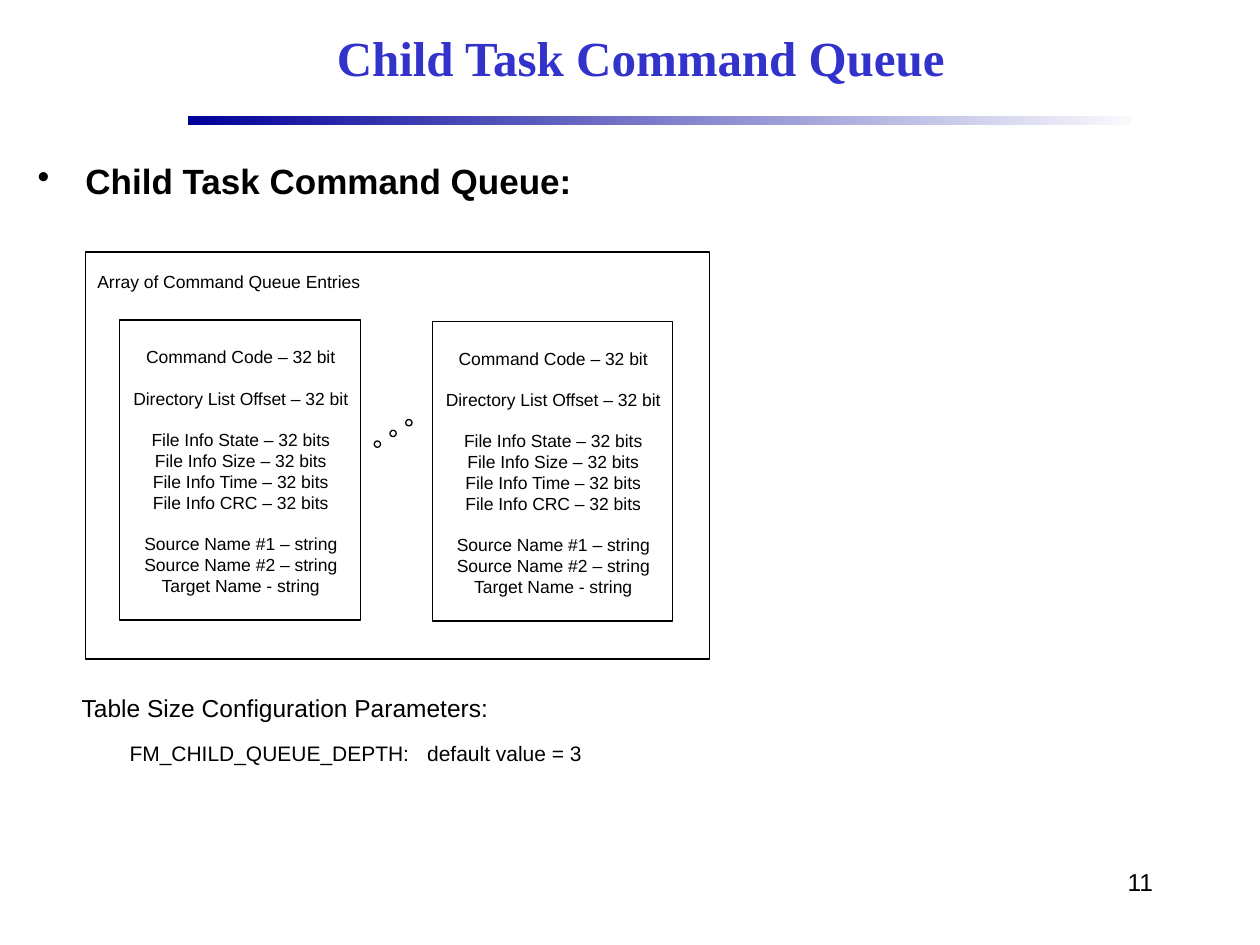
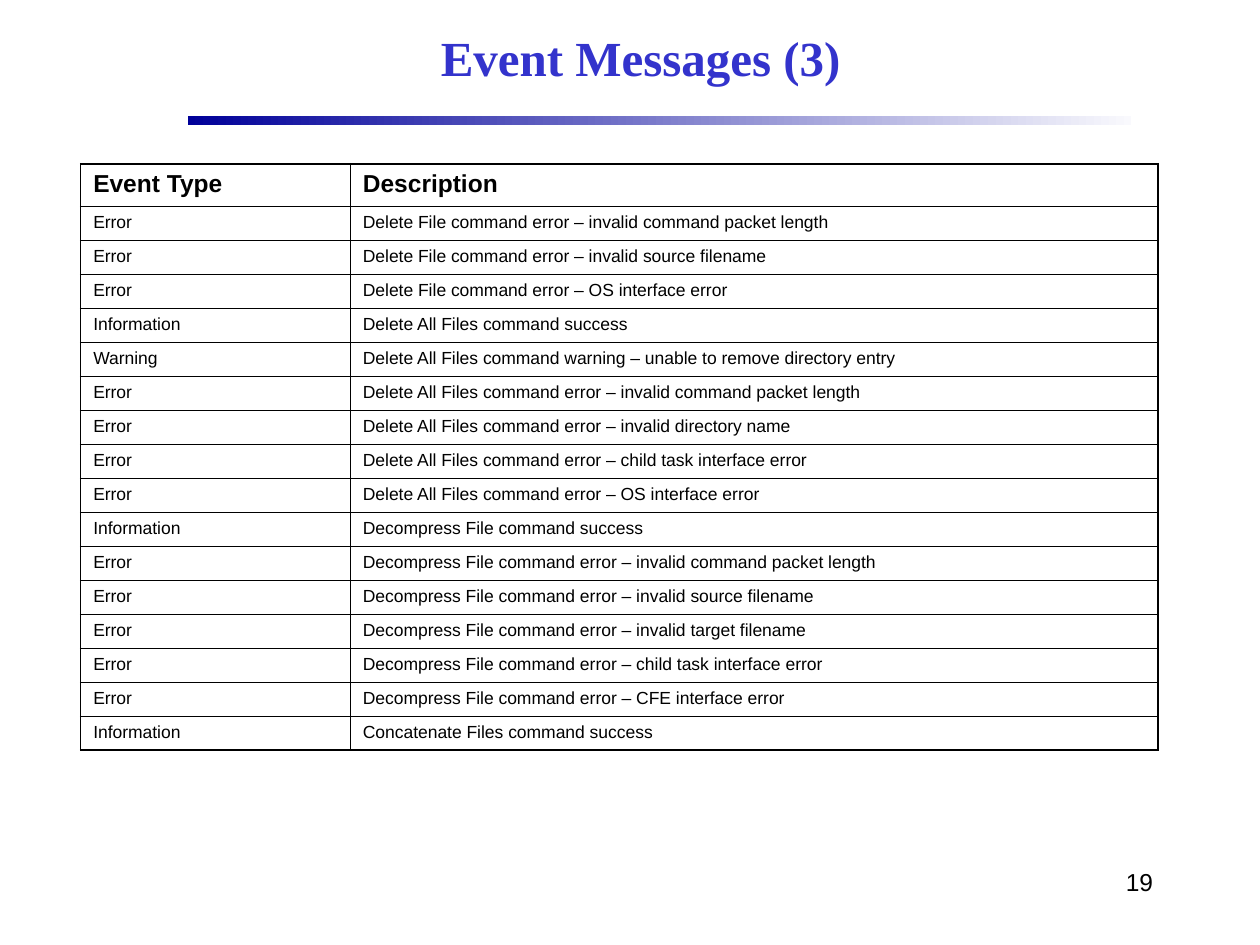
import lxml.etree
import pptx
import pptx.dml.color
import pptx.enum.shapes
import pptx.enum.text
import pptx.oxml.ns
import pptx.util

Inches = pptx.util.Inches
Pt = pptx.util.Pt
Align = pptx.enum.text.PP_ALIGN
Shape = pptx.enum.shapes.MSO_SHAPE
qn = pptx.oxml.ns.qn

# Shared look
BLACK = "000000"
TITLE_BLUE = "3333CC"
BAND_START, BAND_END = "000099", "F9F9FD"
BODY_FONT, TITLE_FONT = "Arial", "Times New Roman"
OUTER_BORDER, INNER_BORDER = 1.08, 0.45
LINE_HEIGHT = 11.5  # points, one line of 10 point text

ENTRY_GROUPS = [
    ["Command Code – 32 bit"],
    ["Directory List Offset – 32 bit"],
    ["File Info State – 32 bits", "File Info Size – 32 bits",
     "File Info Time – 32 bits", "File Info CRC – 32 bits"],
    ["Source Name #1 – string", "Source Name #2 – string",
     "Target Name - string"],
]

EVENTS = [
    ("Error", "Delete File command error – invalid command packet length"),
    ("Error", "Delete File command error – invalid source filename"),
    ("Error", "Delete File command error – OS interface error"),
    ("Information", "Delete All Files command success"),
    ("Warning", "Delete All Files command warning – unable to remove directory entry"),
    ("Error", "Delete All Files command error – invalid command packet length"),
    ("Error", "Delete All Files command error – invalid directory name"),
    ("Error", "Delete All Files command error – child task interface error"),
    ("Error", "Delete All Files command error – OS interface error"),
    ("Information", "Decompress File command success"),
    ("Error", "Decompress File command error – invalid command packet length"),
    ("Error", "Decompress File command error – invalid source filename"),
    ("Error", "Decompress File command error – invalid target filename"),
    ("Error", "Decompress File command error – child task interface error"),
    ("Error", "Decompress File command error – CFE interface error"),
    ("Information", "Concatenate Files command success"),
]


def color(value):
    return pptx.dml.color.RGBColor.from_string(value)


def style(paragraph, size, bold=False, align=Align.LEFT, before=0,
          font=BODY_FONT, text_color=BLACK):
    paragraph.alignment = align
    paragraph.space_before = Pt(before)
    paragraph.font.name = font
    paragraph.font.size = Pt(size)
    paragraph.font.bold = bold
    paragraph.font.color.rgb = color(text_color)


def add_text_box(slide, left, top, width, height):
    box = slide.shapes.add_textbox(
        Inches(left), Inches(top), Inches(width), Inches(height))
    box.text_frame.word_wrap = True
    return box.text_frame


def add_text(slide, left, top, width, height, text, size, **options):
    frame = add_text_box(slide, left, top, width, height)
    paragraph = frame.paragraphs[0]
    paragraph.text = text
    style(paragraph, size, **options)
    return frame


def add_outline(slide, kind, left, top, width, height):
    shape = slide.shapes.add_shape(
        kind, Inches(left), Inches(top), Inches(width), Inches(height))
    shape.shadow.inherit = False
    shape.fill.background()
    shape.line.color.rgb = color(BLACK)
    shape.line.width = Pt(0.75)


def add_band(slide):
    band = slide.shapes.add_shape(
        Shape.RECTANGLE, Inches(1.49), Inches(0.92), Inches(7.49), Inches(0.07))
    band.shadow.inherit = False
    band.line.fill.background()
    band.fill.gradient()
    band.fill.gradient_angle = 0
    for stop, value in zip(band.fill.gradient_stops, (BAND_START, BAND_END)):
        stop.color.rgb = color(value)


def add_base_slide(presentation, title, number):
    slide = presentation.slides.add_slide(presentation.slide_layouts[6])
    add_band(slide)
    add_text(slide, 7.17, 6.83, 2.08, 0.5, str(number), 14, align=Align.RIGHT)
    frame = add_text(slide, 1.5, 0.08, 7.17, 0.75, title, 28, bold=True,
                     align=Align.CENTER, font=TITLE_FONT, text_color=TITLE_BLUE)
    frame.vertical_anchor = pptx.enum.text.MSO_ANCHOR.MIDDLE
    return slide


def set_indent(paragraph, margin, first_line=0.0):
    properties = paragraph._p.get_or_add_pPr()
    properties.set("marL", str(Inches(margin)))
    properties.set("indent", str(Inches(first_line)))
    return properties


def add_bullet_heading(slide, text):
    frame = add_text(slide, 0.2, 1.22, 4.76, 0.58, text, 20, bold=True, before=8.8)
    properties = set_indent(frame.paragraphs[0], 0.38, -0.38)
    bullet = lxml.etree.Element(qn("a:buChar"), char="•")
    properties.find(qn("a:defRPr")).addprevious(bullet)


def add_queue_entry(slide, left, top):
    add_outline(slide, Shape.RECTANGLE, left, top, 1.91, 2.38)
    frame = add_text_box(slide, left, top, 1.92, 2.27)
    frame.margin_left = frame.margin_right = Inches(0.05)
    frame.margin_top = Inches(0.05) + Pt(LINE_HEIGHT)
    paragraph = frame.paragraphs[0]
    for group_index, group in enumerate(ENTRY_GROUPS):
        for field_index, field in enumerate(group):
            if group_index or field_index:
                paragraph = frame.add_paragraph()
            paragraph.text = field
            starts_group = group_index > 0 and field_index == 0
            style(paragraph, 10, align=Align.CENTER,
                  before=LINE_HEIGHT if starts_group else 0)


def add_size_parameters(slide):
    frame = add_text(slide, 0.55, 5.45, 4.93, 0.87,
                     "Table Size Configuration Parameters:", 14, before=6.1)
    parameter = frame.add_paragraph()
    for text in ("FM_CHILD_QUEUE_DEPTH:", " ", "default value = 3"):
        parameter.add_run().text = text
    # Widen the gap between the name and its value
    parameter.runs[1].font._element.set("spc", "670")
    style(parameter, 12, before=10.6)
    set_indent(parameter, 0.38)


def set_borders(cell, widths):
    properties = cell._tc.get_or_add_tcPr()
    for side, width in zip("LRTB", widths):
        line = lxml.etree.SubElement(
            properties, qn(f"a:ln{side}"), w=str(Pt(width)))
        fill = lxml.etree.SubElement(line, qn("a:solidFill"))
        lxml.etree.SubElement(fill, qn("a:srgbClr"), val=BLACK)


def add_event_table(slide):
    rows = [("Event Type", "Description")] + EVENTS
    table = slide.shapes.add_table(
        len(rows), 2, Inches(0.64), Inches(1.3), Inches(8.55), Inches(4.66)).table
    table.first_row = table.horz_banding = False
    for column, width in zip(table.columns, (2.14, 6.41)):
        column.width = Inches(width)
    for row_index, row in enumerate(rows):
        header = row_index == 0
        table.rows[row_index].height = Inches(0.34 if header else 0.27)
        for column_index, text in enumerate(row):
            cell = table.cell(row_index, column_index)
            paragraph = cell.text_frame.paragraphs[0]
            paragraph.text = text
            style(paragraph, 14 if header else 10, bold=header,
                  before=6.1 if header else 4.4)
            on_edge = (column_index == 0, column_index == 1,
                       header, row_index == len(rows) - 1)
            set_borders(cell, [OUTER_BORDER if edge else INNER_BORDER
                               for edge in on_edge])
            cell.fill.background()


def add_queue_slide(presentation):
    slide = add_base_slide(presentation, "Child Task Command Queue", 11)
    add_bullet_heading(slide, "Child Task Command Queue:")
    add_text(slide, 0.55, 2.1, 2.53, 0.27, "Array of Command Queue Entries", 10,
             align=Align.CENTER)
    add_outline(slide, Shape.RECTANGLE, 0.68, 2, 4.95, 3.23)
    # Rising dots between the first and last entry
    for step in range(3):
        add_outline(slide, Shape.OVAL, 2.97 + 0.125 * step, 3.5 - 0.085 * step,
                    0.05, 0.05)
    add_size_parameters(slide)
    add_queue_entry(slide, 0.95, 2.54)
    add_queue_entry(slide, 3.43, 2.55)


def add_events_slide(presentation):
    slide = add_base_slide(presentation, "Event Messages (3)", 19)
    add_event_table(slide)


def main():
    presentation = pptx.Presentation()
    presentation.slide_width = Inches(10)
    presentation.slide_height = Inches(7.5)
    add_queue_slide(presentation)
    add_events_slide(presentation)
    presentation.save("out.pptx")


if __name__ == "__main__":
    main()
